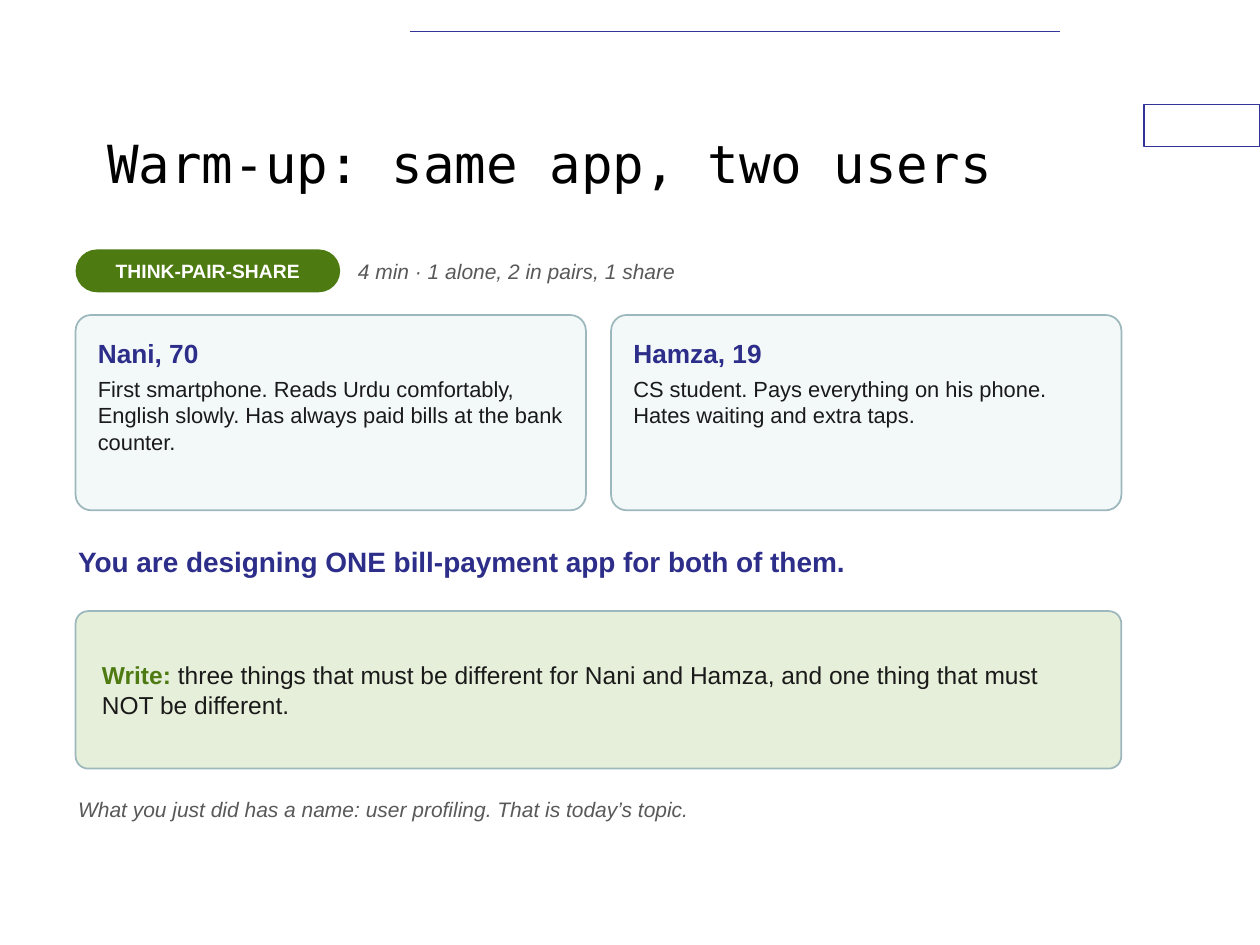
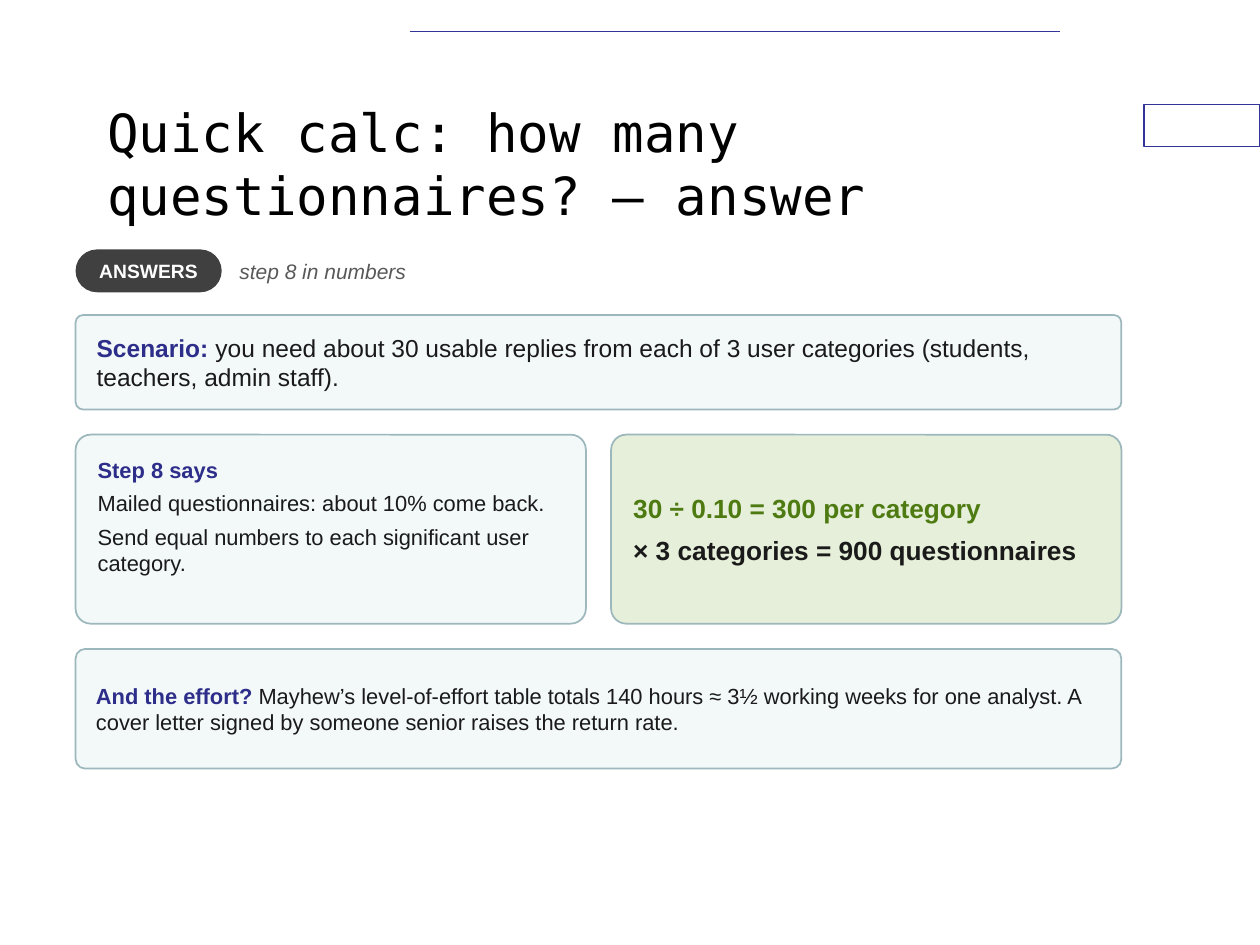
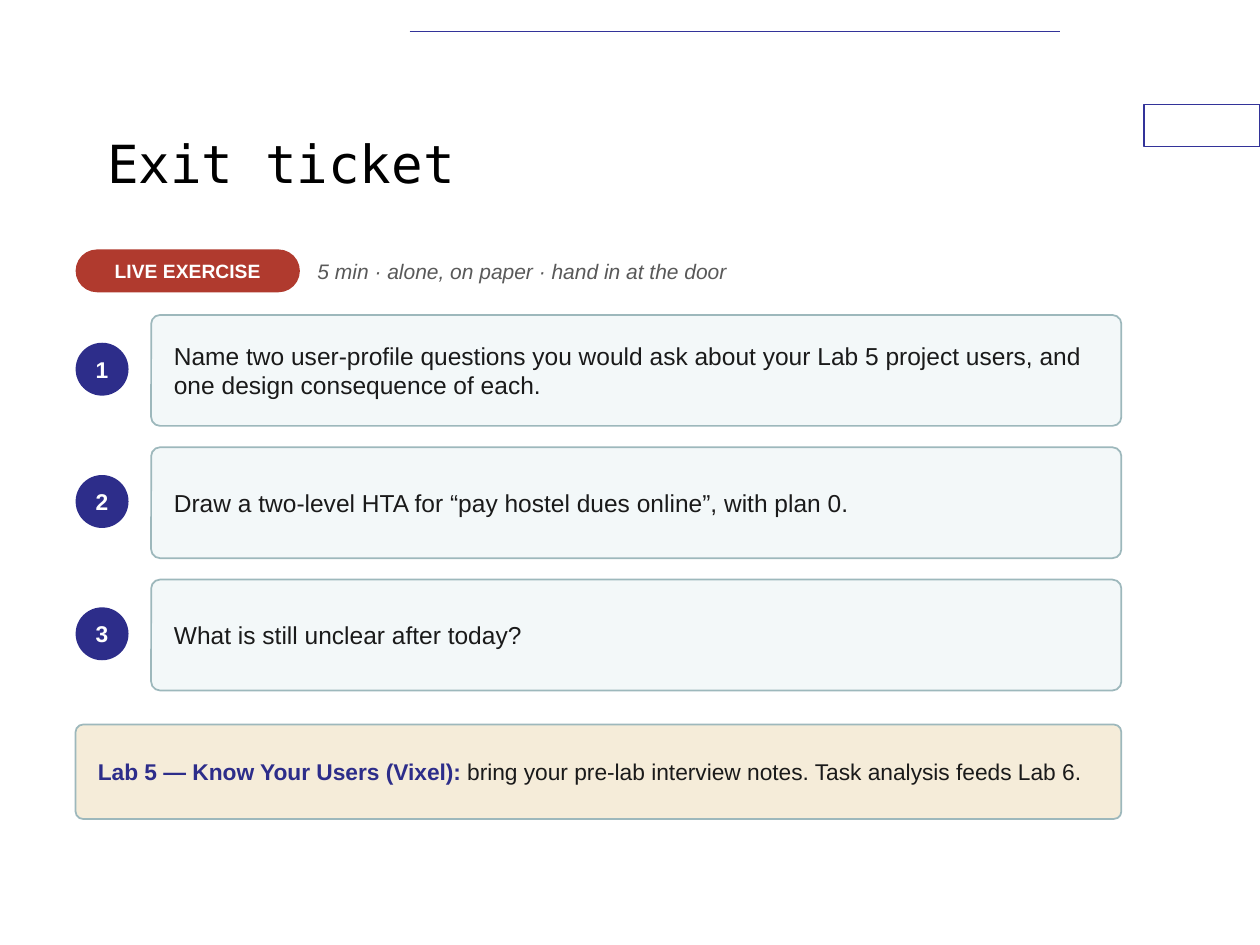
"""Build three class slides: a warm-up, a worked answer and an exit ticket."""
from lxml.etree import SubElement
from pptx import Presentation
from pptx.dml.color import RGBColor
from pptx.enum.shapes import MSO_CONNECTOR, MSO_SHAPE
from pptx.enum.text import MSO_ANCHOR, MSO_AUTO_SIZE, PP_ALIGN
from pptx.oxml.ns import qn
from pptx.util import Pt

HUES = {
    "white": "FFFFFF", "black": "000000", "rule": "333399", "navy": "2D2D8A",
    "ink": "1A1A1A", "grey": "595959", "edge": "9DB8BC", "pale": "F3F8F9",
    "mint": "E6EFD9", "sand": "F5ECD9", "green": "4E7A12", "dark": "404040",
    "red": "B03A2E",
}
COLS = {name: RGBColor.from_string(code) for name, code in HUES.items()}
LEFT, WIDE, HALF = 43.2, 597.6, 291.6
RIGHT = LEFT + WIDE - HALF
TOP = 180


def write(shape, paras, pad, mid=True, gap=0, align=PP_ALIGN.LEFT):
    frame = shape.text_frame
    frame.word_wrap = True
    frame.vertical_anchor = MSO_ANCHOR.MIDDLE if mid else MSO_ANCHOR.TOP
    frame.margin_left = frame.margin_right = Pt(pad)
    frame.margin_top = frame.margin_bottom = Pt(pad)
    for i, runs in enumerate(paras):
        para = frame.add_paragraph() if i else frame.paragraphs[0]
        para.alignment = align
        if i:
            para.space_before = Pt(gap)
        for text, size, hue, face in runs:
            run = para.add_run()
            run.text = text
            run.font.name = "Arial"
            run.font.size = Pt(size)
            run.font.color.rgb = COLS[hue]
            run.font.bold = face == "bold"
            run.font.italic = face == "slant"


def block(page, kind, place, fill, edge=None, curve=None):
    shape = page.shapes.add_shape(kind, *map(Pt, place))
    shape.shadow.inherit = False
    shape.fill.solid()
    shape.fill.fore_color.rgb = COLS[fill]
    if edge:
        shape.line.color.rgb = COLS[edge]
        shape.line.width = Pt(1)
    else:
        shape.line.fill.background()
    if curve:
        shape.adjustments[0] = curve
    return shape


deck = Presentation()
deck.slide_width, deck.slide_height = Pt(720), Pt(540)
base = deck.slide_layouts[5]
for holder in list(base.placeholders)[1:]:
    base.shapes.element.remove(holder.element)
head = base.placeholders[0]
head.left, head.top, head.width, head.height = map(Pt, (54, 48, 540, 90))

heads = [
    ("Warm-up: same app, two users", "THINK-PAIR-SHARE", 151.2, "green",
     "4 min · 1 alone, 2 in pairs, 1 share"),
    ("Quick calc: how many questionnaires? — answer", "ANSWERS", 83.52, "dark",
     "step 8 in numbers"),
    ("Exit ticket", "LIVE EXERCISE", 128.16, "red",
     "5 min · alone, on paper · hand in at the door"),
]
pages = []
for title, tag, width, hue, note in heads:
    page = deck.slides.add_slide(base)
    pages.append(page)
    if len(pages) == 1:
        tab = block(page, MSO_SHAPE.RECTANGLE, (653.76, 59.76, 66.24, 24), "white", "rule")
        tab.line.width = Pt(0.75)
        rule = page.shapes.add_connector(
            MSO_CONNECTOR.STRAIGHT, Pt(234), Pt(18), Pt(606), Pt(18))
        rule.line.color.rgb = COLS["rule"]
        rule.line.width = Pt(1)
        SubElement(rule.element.spPr, qn("a:effectLst"))
        for part in (tab, rule):
            base.shapes.element.append(part.element)

    frame = page.shapes.title.text_frame
    frame.text = title
    frame.auto_size = MSO_AUTO_SIZE.NONE
    frame.vertical_anchor = MSO_ANCHOR.MIDDLE
    frame.paragraphs[0].alignment = PP_ALIGN.LEFT
    font = frame.paragraphs[0].runs[0].font
    font.name, font.size = "DejaVu Sans Mono", Pt(30)
    font.color.rgb = COLS["black"]

    pill = block(page, MSO_SHAPE.ROUNDED_RECTANGLE, (LEFT, 142.56, width, 24.48), hue, curve=0.5)
    write(pill, [[(tag, 11, "white", "bold")]], 2.16, align=PP_ALIGN.CENTER)
    start = LEFT + width + 8.64
    side = page.shapes.add_textbox(Pt(start), Pt(142.56), Pt(LEFT + WIDE - start), Pt(24.48))
    write(side, [[(note, 12, "grey", "slant")]], 1.44)

warm, calc, ticket = pages

lines = [
    (309.6, 32.4, "You are designing ONE bill-payment app for both of them.", 16, "navy", "bold"),
    (453.6, 36, "What you just did has a name: user profiling. That is today’s topic.",
     12, "grey", "slant"),
]
for top, high, *run in lines:
    line = warm.shapes.add_textbox(Pt(LEFT), Pt(top), Pt(WIDE), Pt(high))
    write(line, [[run]], 1.44, mid=False)

cards = [
    (warm, (LEFT, TOP, HALF, 111.6), "pale", 10.08, False, 4, [
        [("Nani, 70", 15, "navy", "bold")],
        [("First smartphone. Reads Urdu comfortably, English slowly. "
          "Has always paid bills at the bank counter.", 12.5, "ink", "")]]),
    (warm, (RIGHT, TOP, HALF, 111.6), "pale", 10.08, False, 4, [
        [("Hamza, 19", 15, "navy", "bold")],
        [("CS student. Pays everything on his phone. Hates waiting and extra taps.",
          12.5, "ink", "")]]),
    (warm, (LEFT, 349.2, WIDE, 90), "mint", 12.96, True, 0, [
        [("Write: ", 14, "green", "bold"),
         ("three things that must be different for Nani and Hamza, "
          "and one thing that must NOT be different.", 14, "ink", "")]]),
    (calc, (LEFT, TOP, WIDE, 54), "pale", 10.8, True, 0, [
        [("Scenario: ", 14, "navy", "bold"),
         ("you need about 30 usable replies from each of 3 user categories "
          "(students, teachers, admin staff).", 14, "ink", "")]]),
    (calc, (LEFT, 248.4, HALF, 108), "pale", 10.08, False, 4, [
        [("Step 8 says", 12.5, "navy", "bold")],
        [("Mailed questionnaires: about 10% come back.", 12.5, "ink", "")],
        [("Send equal numbers to each significant user category.", 12.5, "ink", "")]]),
    (calc, (RIGHT, 248.4, HALF, 108), "mint", 10.08, True, 6, [
        [("30 ÷ 0.10 = 300 per category", 15, "green", "bold")],
        [("× 3 categories = 900 questionnaires", 15, "ink", "bold")]]),
    (calc, (LEFT, 370.8, WIDE, 68.4), "pale", 10.08, True, 0, [
        [("And the effort? ", 12.5, "navy", "bold"),
         ("Mayhew’s level-of-effort table totals 140 hours ≈ 3½ working weeks for one "
          "analyst. A cover letter signed by someone senior raises the return rate.",
          12.5, "ink", "")]]),
    (ticket, (LEFT, 414, WIDE, 54), "sand", 11.52, True, 0, [
        [("Lab 5 — Know Your Users (Vixel): ", 13, "navy", "bold"),
         ("bring your pre-lab interview notes. Task analysis feeds Lab 6.", 13, "ink", "")]]),
]

tasks = [
    "Name two user-profile questions you would ask about your Lab 5 project users, "
    "and one design consequence of each.",
    "Draw a two-level HTA for “pay hostel dues online”, with plan 0.",
    "What is still unclear after today?",
]
for i, task in enumerate(tasks):
    top = TOP + i * 75.6
    dot = block(ticket, MSO_SHAPE.OVAL, (LEFT, top + 15.84, 30.24, 30.24), "navy")
    write(dot, [[(str(i + 1), 13, "white", "bold")]], 0, align=PP_ALIGN.CENTER)
    cards.append((ticket, (86.4, top, 554.4, 63.36), "pale", 11.52, True, 0,
                  [[(task, 14, "ink", "")]]))

for page, place, fill, pad, mid, gap, paras in cards:
    card = block(page, MSO_SHAPE.ROUNDED_RECTANGLE, place, fill, "edge", 0.08)
    write(card, paras, pad, mid, gap)

deck.save("out.pptx")
